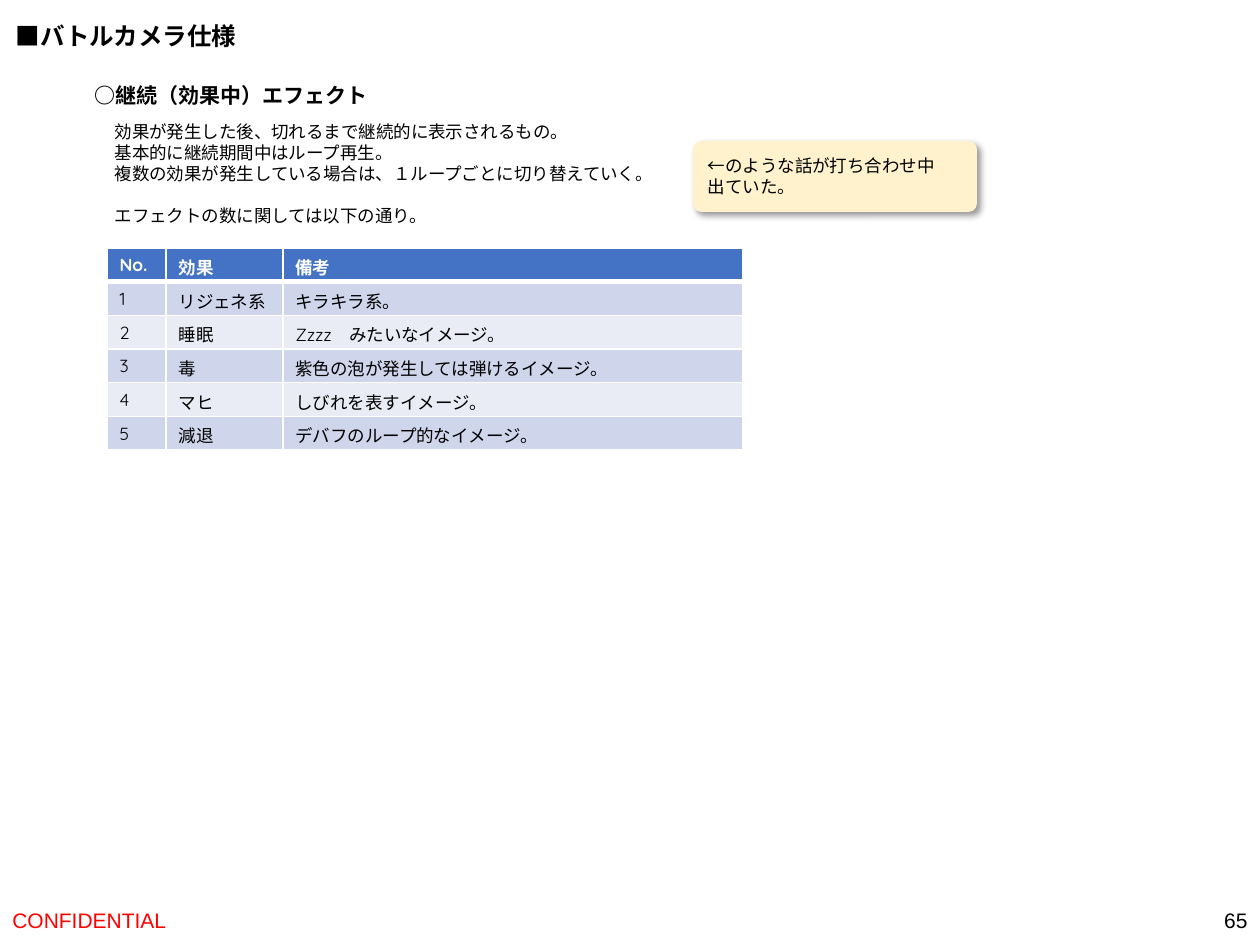
"""Build the slide on continuous battle effects."""
from lxml.etree import SubElement as Sub
from pptx import Presentation
from pptx.dml.color import RGBColor as RGB
from pptx.enum.shapes import MSO_SHAPE as Shape
from pptx.enum.text import MSO_ANCHOR as Anchor, MSO_AUTO_SIZE as Fit, PP_ALIGN as Align
from pptx.oxml.ns import qn
from pptx.util import Emu, Pt

BLACK = RGB(0, 0, 0)
WHITE = RGB(255, 255, 255)
RED = RGB(255, 0, 0)
CREAM = RGB(0xFF, 0xF2, 0xCC)
BLUE = RGB(0x44, 0x72, 0xC4)
BANDS = RGB(0xE9, 0xEB, 0xF5), RGB(0xCF, 0xD5, 0xEA)

LABEL = {"word_wrap": False, "auto_size": Fit.SHAPE_TO_FIT_TEXT, "vertical_anchor": Anchor.TOP}
PANEL = {"word_wrap": True, "auto_size": Fit.NONE, "vertical_anchor": Anchor.MIDDLE}
BODY = {"name": "Arial", "size": Pt(10), "bold": False}
HEAD = {"name": "Arial", "size": Pt(14), "bold": True}
TOPIC = {"name": "Quicksand", "size": Pt(12), "bold": True}
FOOT = {"name": "Arial", "size": Pt(12), "bold": False}
CELL = {"name": "Quicksand", "size": Pt(10), "bold": False}

LINES = [
    "効果が発生した後、切れるまで継続的に表示されるもの。",
    "基本的に継続期間中はループ再生。",
    "複数の効果が発生している場合は、１ループごとに切り替えていく。",
    "エフェクトの数に関しては以下の通り。",
]
ROWS = [
    ("No.", "効果", "備考"),
    ("1", "リジェネ系", "キラキラ系。"),
    ("2", "睡眠", "Zzzz　みたいなイメージ。"),
    ("3", "毒", "紫色の泡が発生しては弾けるイメージ。"),
    ("4", "マヒ", "しびれを表すイメージ。"),
    ("5", "減退", "デバフのループ的なイメージ。"),
]


def px(num):
    """Turn px into EMU."""
    return Emu(round(num * 914400 / 126))


def apply(item, vals):
    """Set each attribute named in a dict."""
    for key, val in vals.items():
        setattr(item, key, val)


def tint(node, color, alpha=None):
    """Add a plain colour to an XML node."""
    tone = Sub(node, qn("a:srgbClr"), val=str(color))
    if alpha:
        Sub(tone, qn("a:alpha"), val=str(alpha * 1000))


class Deck:
    """Hold the style and the current slide."""

    def __init__(self):
        """Start a deck with one titled slide."""
        self.prs = Presentation()
        apply(self.prs, {"slide_width": px(1260), "slide_height": px(945)})
        self.slide = self.prs.slides.add_slide(self.prs.slide_layouts[1])
        self.shapes = self.slide.shapes

    def say(self, frame, lines, font, color=BLACK, align=Align.LEFT):
        """Fill a text frame with one paragraph a line."""
        for num, line in enumerate(lines):
            para = frame.add_paragraph() if num else frame.paragraphs[0]
            apply(para, {"alignment": align, "space_before": Pt(0)})
            run = para.add_run()
            run.text = line
            apply(run.font, font)
            run.font.color.rgb = color

    def hold(self, item, box, lines, font):
        """Move and fill a placeholder without bullets."""
        apply(item, dict(zip(("left", "top", "width", "height"), map(px, box))))
        apply(item.text_frame, LABEL)
        self.say(item.text_frame, lines, font)
        for para in item.text_frame.paragraphs:
            prop = para._p.get_or_add_pPr()
            for key in ("marL", "indent"):
                prop.set(key, "0")
            Sub(prop, qn("a:buNone"))

    def text(self, box, line, font, form=LABEL, **look):
        """Add a text box."""
        frame = self.shapes.add_textbox(*map(px, box)).text_frame
        apply(frame, form)
        self.say(frame, [line], font, **look)

    def note(self, box, lines):
        """Add a rounded note with a soft shadow."""
        item = self.shapes.add_shape(Shape.ROUNDED_RECTANGLE, *map(px, box))
        item.adjustments[0] = 0.12
        item.fill.solid()
        item.fill.fore_color.rgb = CREAM
        item.line.fill.background()
        item.shadow.inherit = False
        glow = Sub(item._element.spPr.find(qn("a:effectLst")), qn("a:outerShdw"),
                   blurRad=str(Pt(4)), dist=str(Pt(3)), dir=str(45 * 60000),
                   algn="tl", rotWithShape="0")
        tint(glow, BLACK, 40)
        apply(item.text_frame, PANEL)
        self.say(item.text_frame, lines, BODY)

    def edge(self, cell, row):
        """Draw white cell borders, thick below the header."""
        prop = cell._tc.get_or_add_tcPr()
        for side in "LRTB":
            wide = 3 if (row, side) in ((0, "B"), (1, "T")) else 1
            line = Sub(prop, qn(f"a:ln{side}"), w=str(Pt(wide)))
            tint(Sub(line, qn("a:solidFill")), WHITE)

    def table(self, box, cols, rows):
        """Add a banded table with a header row."""
        grid = self.shapes.add_table(len(rows), len(cols), *map(px, box)).table
        for col, wide in zip(grid.columns, cols):
            col.width = px(wide)
        for row, words in enumerate(rows):
            for col, word in enumerate(words):
                cell = grid.cell(row, col)
                self.edge(cell, row)
                cell.fill.solid()
                cell.fill.fore_color.rgb = BANDS[row % 2] if row else BLUE
                self.say(cell.text_frame, [word], {**CELL, "bold": row == 0},
                         BLACK if row else WHITE)


def main():
    """Build and save the slide."""
    deck = Deck()
    title, body = deck.slide.placeholders
    deck.text((0, 895, 426, 50), "CONFIDENTIAL", FOOT, PANEL, color=RED)
    deck.text((976, 895, 284, 50), "65", FOOT, PANEL, align=Align.RIGHT)
    deck.hold(title, (3, 15, 248, 43), ["■バトルカメラ仕様"], HEAD)
    deck.text((82, 76, 301, 38), "○継続（効果中）エフェクト", TOPIC)
    deck.hold(body, (102, 115, 573, 118), LINES, BODY)
    body.text_frame.paragraphs[-1].space_before = Pt(12)
    deck.note((693, 141, 284, 71), ["←のような話が打ち合わせ中", "出ていた。"])
    deck.table((107, 248, 636, 202), (59, 117, 460), ROWS)
    deck.prs.save("out.pptx")


if __name__ == "__main__":
    main()
